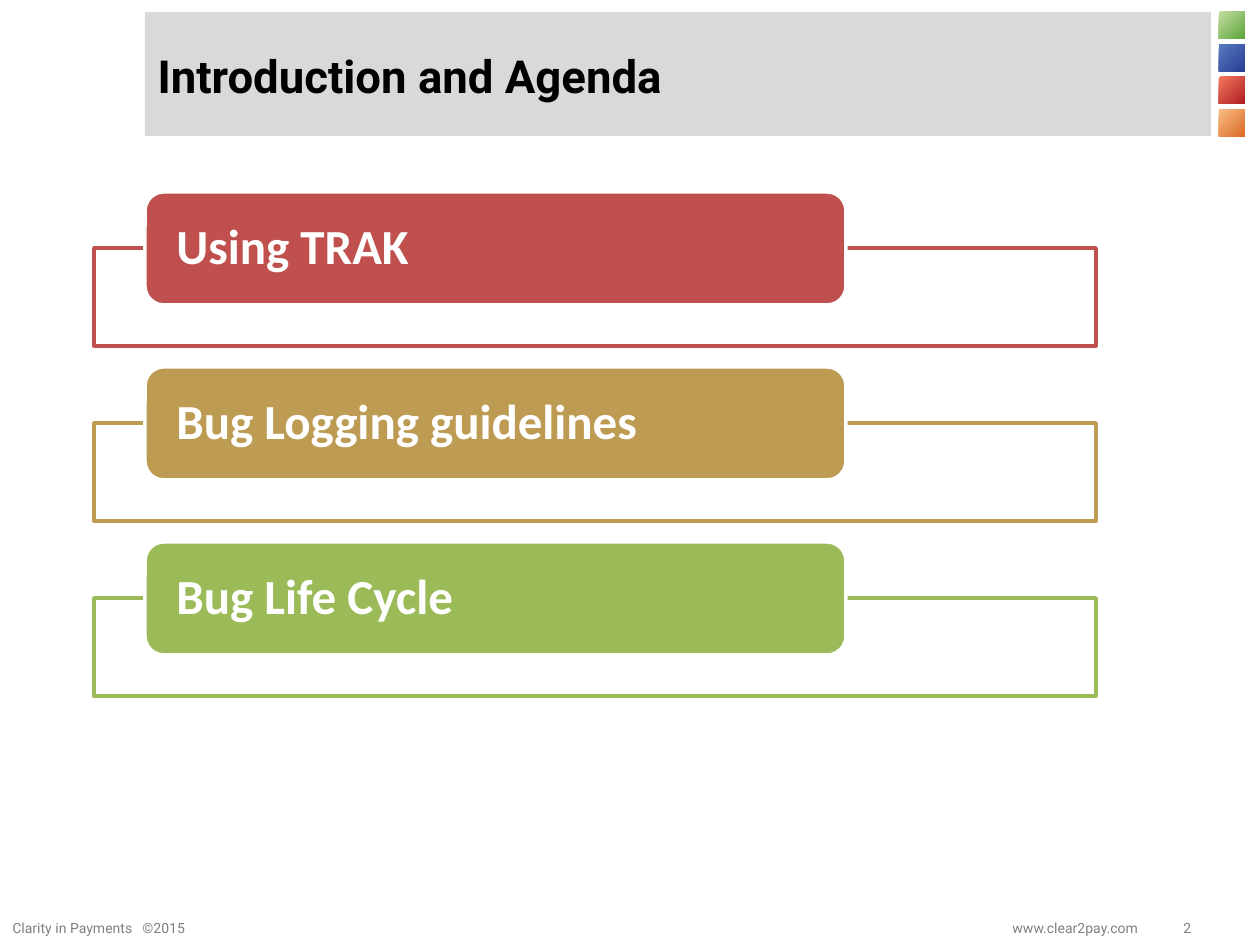
from lxml import etree
from pptx import Presentation
from pptx import util as u
from pptx.dml.color import RGBColor
from pptx.enum import shapes, text
from pptx.oxml.ns import qn

# Content
TITLE = "Introduction and Agenda"
AGENDA = [
    ("Using TRAK", "C0504D"),
    ("Bug Logging guidelines", "BD9B53"),
    ("Bug Life Cycle", "9BBB59"),
]
FOOTER = "Clarity in Payments\t©2015\twww.clear2pay.com\t2"
FOOTER_TABS = [(130, "l"), (1126, "r"), (1179, "r")]
SQUARES = [("C5DEA3", "5AA537"), ("567ABC", "2B3E98"),
           ("F3795E", "AF1D23"), ("F8BF87", "DC6B25")]

# Layout in px
SCALE = 914400 / 126
SLIDE_SIZE = (1260, 945)
SQUARE_TOP, SQUARE_STEP = 12, 32.4
AGENDA_TOP, AGENDA_STEP = 192, 175


def px(value):
    return u.Emu(round(value * SCALE))


def rgb(value):
    return RGBColor.from_string(value)


def add_box(slide, kind, place, fill=None, line=None):
    shape = slide.shapes.add_shape(kind, *map(px, place))
    shape.shadow.inherit = False
    if fill:
        shape.fill.solid()
        shape.fill.fore_color.rgb = rgb(fill)
    if line:
        shape.line.color.rgb = rgb(line)
        shape.line.width = u.Pt(2)
    else:
        shape.line.fill.background()
    return shape


def style(paragraph, font_name, size, color, bold=False):
    paragraph.alignment = text.PP_ALIGN.LEFT
    font = paragraph.font
    font.name, font.size, font.bold = font_name, u.Pt(size), bold
    font.color.rgb = rgb(color)


def add_header(slide):
    title = slide.shapes.title
    bar = add_box(slide, shapes.MSO_SHAPE.RECTANGLE, (145, 12, 1066, 124), "D9D9D9")
    title._element.addprevious(bar._element)  # bar goes behind the title
    title.left, title.top, title.width, title.height = map(px, (145, 21, 853, 108))
    frame = title.text_frame
    frame.text = TITLE
    frame.auto_size = text.MSO_AUTO_SIZE.NONE
    frame.vertical_anchor = text.MSO_ANCHOR.MIDDLE
    style(frame.paragraphs[0], "Roboto", 26, "000000", True)

    # Column of gradient squares
    for index, colors in enumerate(SQUARES):
        place = (1219, SQUARE_TOP + index * SQUARE_STEP, 26, 27)
        square = add_box(slide, shapes.MSO_SHAPE.RECTANGLE, place)
        square.fill.gradient()
        square.fill.gradient_angle = 315
        for stop, color in zip(square.fill.gradient_stops, colors):
            stop.color.rgb = rgb(color)


def add_agenda_item(slide, top, label, color):
    frame_box = add_box(slide, shapes.MSO_SHAPE.RECTANGLE,
                        (94, top + 56, 1002, 98), "FFFFFF", color)
    fill_color = frame_box.fill._xPr.find(".//" + qn("a:srgbClr"))
    etree.SubElement(fill_color, qn("a:alpha"), val="90000")

    tab = add_box(slide, shapes.MSO_SHAPE.ROUNDED_RECTANGLE,
                  (145, top, 701, 113), color, "FFFFFF")
    frame = tab.text_frame
    frame.word_wrap = True
    frame.vertical_anchor = text.MSO_ANCHOR.MIDDLE
    frame.margin_left = frame.margin_right = px(26)
    frame.margin_top = frame.margin_bottom = 0
    frame.text = label
    paragraph = frame.paragraphs[0]
    paragraph.line_spacing = 0.9
    style(paragraph, "Calibri", 28, "FFFFFF", True)


def add_footer(slide):
    footer = slide.shapes.add_textbox(*map(px, (0, 913, 1260, 30)))
    frame = footer.text_frame
    frame.word_wrap = True
    frame.text = FOOTER
    paragraph = frame.paragraphs[0]
    tabs = etree.SubElement(paragraph._p.get_or_add_pPr(), qn("a:tabLst"))
    for position, align in FOOTER_TABS:
        etree.SubElement(tabs, qn("a:tab"), pos=str(px(position)), algn=align)
    style(paragraph, "Roboto", 8, "808080")


def main():
    presentation = Presentation()
    presentation.slide_width, presentation.slide_height = map(px, SLIDE_SIZE)
    slide = presentation.slides.add_slide(presentation.slide_layouts[5])
    add_header(slide)
    for index, (label, color) in enumerate(AGENDA):
        add_agenda_item(slide, AGENDA_TOP + index * AGENDA_STEP, label, color)
    add_footer(slide)
    presentation.save("out.pptx")


if __name__ == "__main__":
    main()
